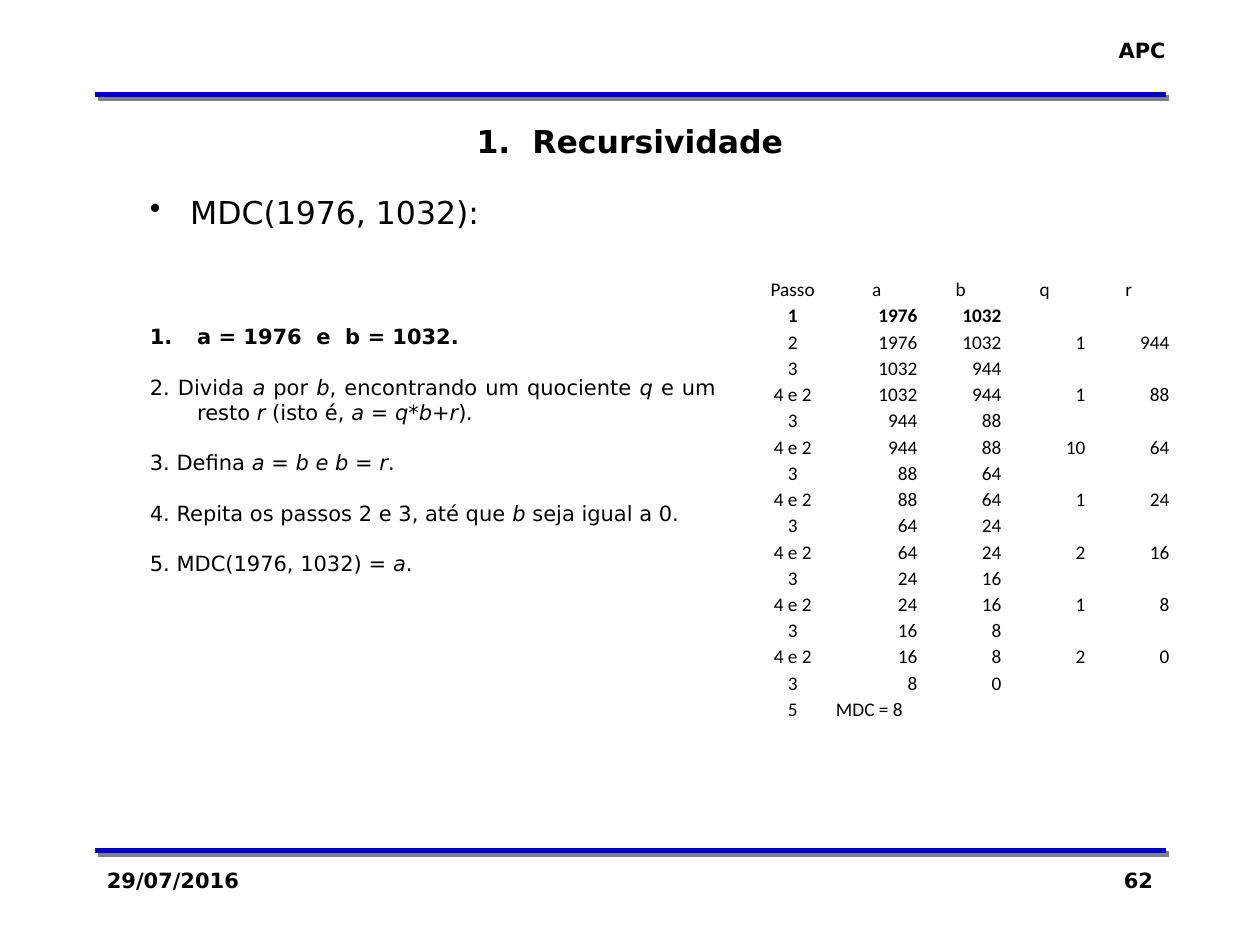
from dataclasses import dataclass
from typing import NamedTuple

from lxml import etree
from pptx import Presentation
from pptx import util as u
from pptx.dml.color import RGBColor
from pptx.enum import shapes, text
from pptx.oxml.ns import qn

LEFT, MID, RIGHT, JUST = (
    text.PP_ALIGN.LEFT,
    text.PP_ALIGN.CENTER,
    text.PP_ALIGN.RIGHT,
    text.PP_ALIGN.JUSTIFY,
)
COLS, ROWS = 120, 90
PLAIN_GRID = "{2D5ABB26-0587-4C30-8999-92F81FD0307C}"


@dataclass(frozen=True)
class Theme:
    ink: str = "000000"
    rule: str = "0000CC"
    shade: str = "808080"
    face: str = "DejaVu Sans"
    grid: str = "Calibri"
    big: float = 18
    small: float = 12
    cell: float = 11


class Run(NamedTuple):
    words: str
    bold: bool = False
    slant: bool = False


class Para(NamedTuple):
    runs: list[Run]
    size: float
    align: int
    gap: float = 0
    hang: float = 0
    mark: tuple[str, str, str] | None = None


class Box(NamedTuple):
    left: float
    top: float
    width: float
    height: float
    paras: list[Para]
    wrap: bool = True


THEME = Theme()


def span(count: float) -> int:
    return u.Inches(10 * count / COLS)


def add_run(para, run: Run, size: float, face: str) -> None:
    item = para.add_run()
    item.text = run.words
    font = item.font
    font.name, font.size = face, u.Pt(size)
    font.bold, font.italic = run.bold, run.slant
    font.color.rgb = RGBColor.from_string(THEME.ink)


def add_para(para, data: Para) -> None:
    props = para._p.get_or_add_pPr()
    if data.hang:
        props.set("marL", str(span(data.hang)))
        props.set("indent", str(-span(data.hang)))
    if data.mark:
        tag, key, value = data.mark
        etree.SubElement(props, qn(tag)).set(key, value)
    para.alignment = data.align
    if data.gap:
        para.space_before = u.Pt(data.gap)
    for run in data.runs:
        add_run(para, run, data.size, THEME.face)


def add_box(slide, box: Box) -> None:
    shape = slide.shapes.add_textbox(*map(span, box[:4]))
    frame = shape.text_frame
    frame.word_wrap = box.wrap
    for i, data in enumerate(box.paras):
        add_para(frame.add_paragraph() if i else frame.paragraphs[0], data)


def add_rule(slide, row: float) -> None:
    line = slide.shapes.add_connector(
        shapes.MSO_CONNECTOR.STRAIGHT, span(9), span(row), span(111), span(row)
    )
    line.line.color.rgb = RGBColor.from_string(THEME.rule)
    line.line.width = u.Pt(3)
    effect = etree.SubElement(line._element.spPr, qn("a:effectLst"))
    shade = etree.SubElement(
        effect, qn("a:outerShdw"), blurRad="0", dist=str(u.Pt(2.8)),
        dir=str(45 * 60000), algn="ctr", rotWithShape="0",
    )
    etree.SubElement(shade, qn("a:srgbClr"), val=THEME.shade)


def euclid(a: int, b: int) -> list[list[str]]:
    rows = [["Passo", "a", "b", "q", "r"], ["1", str(a), str(b)]]
    step = "2"
    while b:
        q, r = divmod(a, b)
        rows.append([step, str(a), str(b), str(q), str(r)])
        a, b = b, r
        rows.append(["3", str(a), str(b)])
        step = "4 e 2"
    return rows + [["5", f"MDC = {a}"], []]


def add_cell(cell, words: str, align: int, bold: bool) -> None:
    cell.fill.background()
    cell.vertical_anchor = text.MSO_ANCHOR.BOTTOM
    cell.margin_left = cell.margin_right = cell.margin_top = u.Inches(0.01)
    cell.margin_bottom = 0
    para = cell.text_frame.paragraphs[0]
    para.alignment = align
    if words:
        add_run(para, Run(words, bold), THEME.cell, THEME.grid)
    else:
        para._p.get_or_add_endParaRPr().set("sz", str(int(THEME.cell * 100)))


def add_steps(slide, rows: list[list[str]]) -> None:
    wide, high = 8, 2.5
    count = len(rows[0])
    table = slide.shapes.add_table(
        len(rows), count, span(71.5), span(26.25),
        span(wide * count), span(high * len(rows)),
    ).table
    table.first_row = table.horz_banding = False
    table._tbl.tblPr.find(qn("a:tableStyleId")).text = PLAIN_GRID
    for col in table.columns:
        col.width = span(wide)
    for i, row in enumerate(rows):
        table.rows[i].height = span(high)
        for j in range(count):
            words = row[j] if j < len(row) else ""
            if i == 0 or j == 0:
                align = MID
            else:
                align = RIGHT if words.isdigit() else LEFT
            add_cell(table.cell(i, j), words, align, i == 1)


def step(*runs: Run) -> Para:
    return Para(list(runs), THEME.small, JUST, gap=14.4, hang=4.5)


def label(words: str, size: float, align: int) -> list[Para]:
    return [Para([Run(words, True)], size, align)]


def var(words: str) -> Run:
    return Run(words, slant=True)


BODY = [
    Para([Run("MDC(1976, 1032):")], THEME.big, JUST, hang=3.84,
         mark=("a:buChar", "char", "•")),
    Para([Run("a = 1976  e  b = 1032.", True)], THEME.small, JUST, gap=53,
         hang=4.5, mark=("a:buAutoNum", "type", "arabicPeriod")),
    step(Run("2. Divida "), var("a"), Run(" por "), var("b"),
         Run(", encontrando um quociente "), var("q"), Run(" e um resto "),
         var("r"), Run(" (isto é, "), var("a = q*b+r"), Run(")"), var(".")),
    step(Run("3. Defina "), var("a = b e b = r"), Run(".")),
    step(Run("4. Repita os passos 2 e 3, até que "), var("b"),
         Run(" seja igual a 0.")),
    step(Run("5. MDC(1976, 1032) = "), var("a"), Run(".")),
]
BOXES = [
    Box(105.2, 3, 7, 3.6, label("APC", THEME.small, RIGHT), False),
    Box(9, 82, 25, 6, label("29/07/2016", THEME.small, LEFT)),
    Box(86, 82, 25, 6, label("62", THEME.small, RIGHT)),
    Box(13.1, 17.8, 56.25, 41.6, BODY),
    Box(9, 11, 102, 4.8, label("1.  Recursividade", THEME.big, MID)),
]


def main() -> None:
    deck = Presentation()
    deck.slide_width, deck.slide_height = span(COLS), span(ROWS)
    slide = deck.slides.add_slide(deck.slide_layouts[6])
    for row in (81, 9):
        add_rule(slide, row)
    for box in BOXES:
        add_box(slide, box)
    add_steps(slide, euclid(1976, 1032))
    deck.save("out.pptx")


if __name__ == "__main__":
    main()
